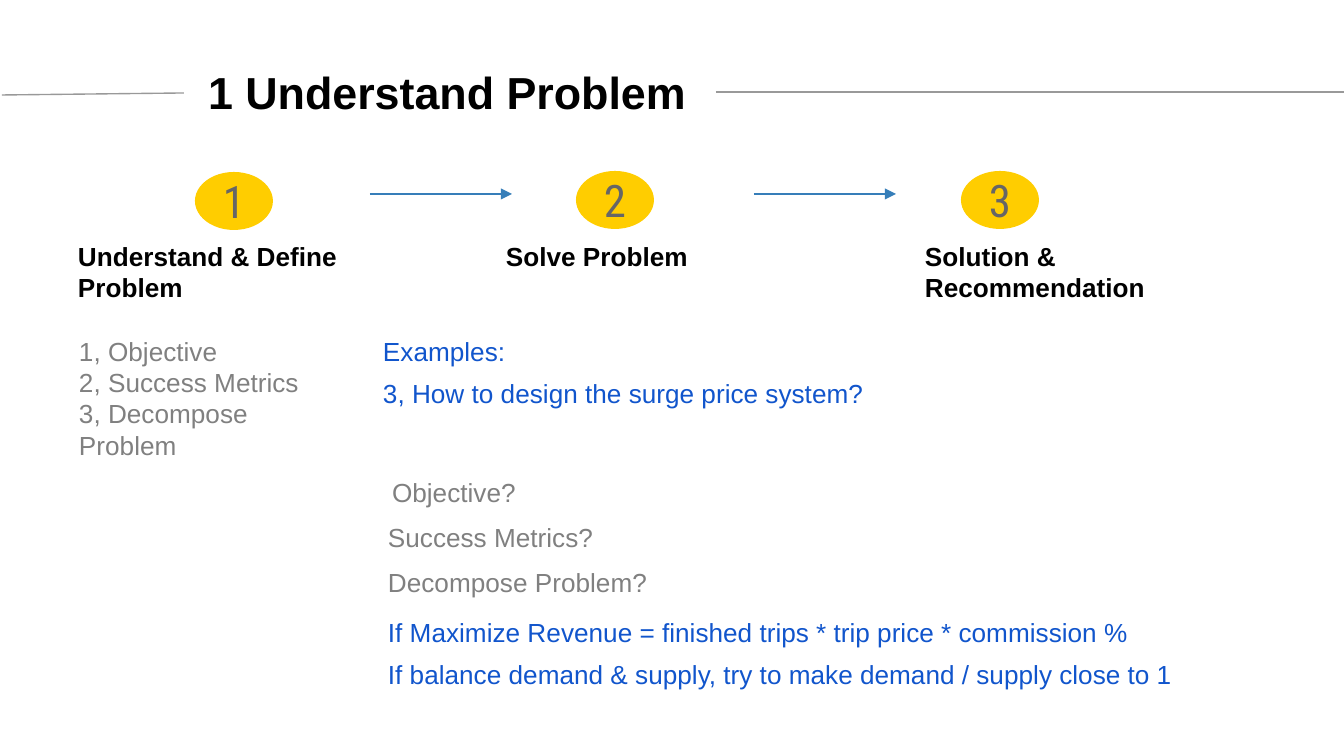
"""Build the "1 Understand Problem" slide with its three-step process."""
from lxml import etree
from pptx import Presentation
from pptx import util as u
from pptx.dml.color import RGBColor
from pptx.enum import shapes, text
from pptx.oxml.ns import qn

PX = 914400 / 134.4
BLACK = RGBColor(0x00, 0x00, 0x00)
GREY = RGBColor(0x80, 0x80, 0x80)
DARK_GREY = RGBColor(0x66, 0x66, 0x66)
RULE_GREY = RGBColor(0x99, 0x99, 0x99)
YELLOW = RGBColor(0xFF, 0xCD, 0x00)
ARROW_BLUE = RGBColor(0x36, 0x7E, 0xB9)
TEXT_BLUE = RGBColor(0x11, 0x55, 0xCC)

HEADING = {"name": "Arial", "size": u.Pt(14), "bold": True}
BODY = {"name": "Arial", "size": u.Pt(14), "bold": False}


def px(*values):
    return [u.Emu(round(v * PX)) for v in values]


def write(sp, lines, font, color, margins=(13, 7), space=0,
          align=text.PP_ALIGN.LEFT, anchor=text.MSO_ANCHOR.TOP):
    tf = sp.text_frame
    tf.word_wrap = True
    tf.auto_size = text.MSO_AUTO_SIZE.NONE
    tf.vertical_anchor = anchor
    side, top = px(*margins)
    tf.margin_left = tf.margin_right = side
    tf.margin_top = tf.margin_bottom = top
    for i, line in enumerate(lines):
        p = tf.paragraphs[0] if i == 0 else tf.add_paragraph()
        p.alignment = align
        p.space_before = u.Pt(space)
        r = p.add_run()
        r.text = line
        for key, value in font.items():
            setattr(r.font, key, value)
        r.font.color.rgb = color


prs = Presentation()
prs.slide_width, prs.slide_height = px(1344, 756)
s = prs.slides.add_slide(prs.slide_layouts[5])

title = s.shapes.title
title.left, title.top, title.width, title.height = px(195, 52, 943, 78)
write(title, ["1 Understand Problem"], HEADING | {"size": u.Pt(24)}, BLACK,
      margins=(13, 13))

connectors = [
    (2, 95, 184, 93, RULE_GREY, False),
    (716, 92, 1344, 92, RULE_GREY, False),
    (370, 194, 512, 194, ARROW_BLUE, True),
    (754, 194, 896, 194, ARROW_BLUE, True),
]
for x1, y1, x2, y2, color, is_arrow in connectors:
    line = s.shapes.add_connector(shapes.MSO_CONNECTOR.STRAIGHT, *px(x1, y1, x2, y2))
    line.line.color.rgb = color
    line.line.width = u.Pt(0.75)
    if is_arrow:
        etree.SubElement(line.line._get_or_add_ln(), qn("a:tailEnd"), type="triangle")
    etree.SubElement(line._element.spPr, qn("a:effectLst"))

steps = [
    (195, 172, 65, 363, "Understand & Define Problem"),
    (576, 171, 493, 363, "Solve Problem"),
    (961, 171, 912, 292, "Solution & Recommendation"),
]
for number, (x, y, label_x, label_w, label) in enumerate(steps, 1):
    badge = s.shapes.add_shape(shapes.MSO_SHAPE.OVAL, *px(x, y, 78, 58))
    badge.shadow.inherit = False
    badge.fill.solid()
    badge.fill.fore_color.rgb = YELLOW
    badge.line.fill.background()
    write(badge, [str(number)], {"name": "Roboto Condensed", "size": u.Pt(24)}, DARK_GREY,
          margins=(13, 13), align=text.PP_ALIGN.CENTER, anchor=text.MSO_ANCHOR.MIDDLE)
    write(s.shapes.add_textbox(*px(label_x, 233, label_w, 77)), [label], HEADING, BLACK)

notes = [
    (66, 328, 297, 140, GREY, 0, ["1, Objective", "2, Success Metrics", "3, Decompose Problem"]),
    (370, 328, 672, 89, TEXT_BLUE, 6, ["Examples:", "3, How to design the surge price system?"]),
    (379, 469, 152, 45, GREY, 0, ["Objective?"]),
    (375, 514, 309, 45, GREY, 0, ["Success Metrics?"]),
    (375, 559, 414, 45, GREY, 0, ["Decompose Problem?"]),
    (375, 609, 923, 89, TEXT_BLUE, 6, [
        "If Maximize Revenue = finished trips * trip price * commission %",
        "If balance demand & supply, try to make demand / supply close to 1"]),
]
for x, y, w, h, color, space, lines in notes:
    write(s.shapes.add_textbox(*px(x, y, w, h)), lines, BODY, color, space=space)

prs.save("out.pptx")
